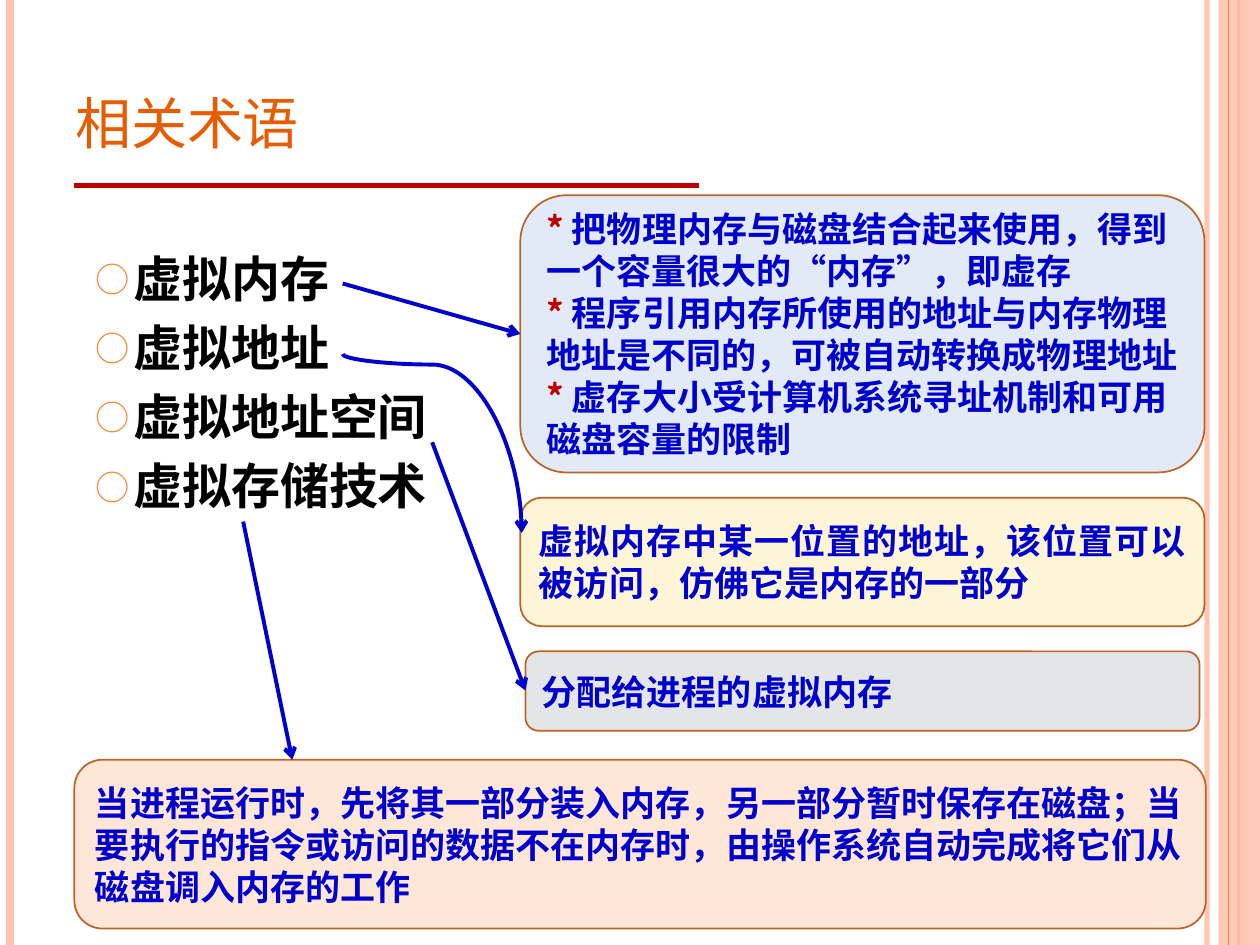
from dataclasses import dataclass

from lxml.etree import SubElement
from pptx import Presentation
from pptx.dml.color import RGBColor
from pptx.enum.shapes import MSO_CONNECTOR as Connector, MSO_SHAPE as Preset
from pptx.enum.text import MSO_ANCHOR as Anchor, PP_ALIGN as Align
from pptx.oxml.ns import qn
from pptx.util import Inches, Pt


@dataclass(frozen=True)
class Theme:
    """Colours, font and type sizes of the slide."""
    font: str = "Noto Sans CJK SC"
    title: str = "E75C01"
    text: str = "000000"
    blue: str = "0000CC"
    red: str = "C00000"
    orange: str = "FE8637"
    peach: str = "FEC3AE"
    outline: str = "BC6329"
    title_size: int = 40
    term_size: int = 28
    note_size: int = 20
    leading: float = 1.2


THEME = Theme()

TERMS = ["虚拟内存", "虚拟地址", "虚拟地址空间", "虚拟存储技术"]

MEMORY_NOTES = [
    "把物理内存与磁盘结合起来使用，得到一个容量很大的“内存”，即虚存",
    "程序引用内存所使用的地址与内存物理地址是不同的，可被自动转换成物理地址",
    "虚存大小受计算机系统寻址机制和可用磁盘容量的限制",
]

NOTES = [
    ((0.59, 6.03, 8.98, 1.34), "FFE7D7", Align.LEFT, [[(
        "当进程运行时，先将其一部分装入内存，另一部分暂时保存在磁盘；"
        "当要执行的指令或访问的数据不在内存时，由操作系统自动完成将它们从磁盘调入内存的工作",
        THEME.blue)]]),
    ((4.13, 1.55, 5.43, 2.2), "E3EAF7", Align.LEFT,
     [[("* ", THEME.red), (note, THEME.blue)] for note in MEMORY_NOTES]),
    ((4.13, 3.95, 5.43, 1.02), "FDF5D5", Align.JUSTIFY, [[(
        "虚拟内存中某一位置的地址，该位置可以被访问，仿佛它是内存的一部分", THEME.blue)]]),
    ((4.17, 5.17, 5.35, 0.63), "E4E5E6", Align.JUSTIFY,
     [[("分配给进程的虚拟内存", THEME.blue)]]),
]

ARROWS = [
    ((2.72, 2.25), (4.13, 2.65)),
    ((3.43, 3.51), (4.17, 5.48)),
    ((1.93, 4.14), (2.32, 6.03)),
]


def set_alpha(fill_parent, percent):
    """Make the solid colour below an element partly transparent."""
    color = next(fill_parent.iter(qn("a:srgbClr")))
    SubElement(color, qn("a:alpha"), val=str(percent * 1000))


def add_bullet(paragraph, hanging):
    """Give a paragraph a hanging ring bullet."""
    properties = paragraph._p.get_or_add_pPr()
    properties.set("marL", str(hanging))
    properties.set("indent", str(-hanging))
    color = SubElement(properties, qn("a:buClr"))
    SubElement(color, qn("a:srgbClr"), val=THEME.orange)
    SubElement(properties, qn("a:buSzPct"), val="70000")
    SubElement(properties, qn("a:buFont"), typeface=THEME.font)
    SubElement(properties, qn("a:buChar"), char="○")


def write_text(shape, paragraphs, size, bold=True, anchor=Anchor.TOP,
               align=Align.LEFT, space_before=0, bullet=False, small_caps=False):
    """Fill a shape with paragraphs, each a list of (text, colour) runs."""
    frame = shape.text_frame
    frame.word_wrap = True
    frame.vertical_anchor = anchor
    for index, runs in enumerate(paragraphs):
        paragraph = frame.add_paragraph() if index else frame.paragraphs[0]
        paragraph.alignment = align
        paragraph.line_spacing = Pt(size * THEME.leading)
        if index:
            paragraph.space_before = Pt(space_before)
        if bullet:
            add_bullet(paragraph, Inches(0.3))
        for text, color in runs:
            run = paragraph.add_run()
            run.text = text
            run.font.size = Pt(size)
            run.font.bold = bold
            run.font.name = THEME.font
            run.font.color.rgb = RGBColor.from_string(color)
            properties = run._r.get_or_add_rPr()
            properties.set("lang", "zh-CN")
            if small_caps:
                properties.set("cap", "small")
            SubElement(properties, qn("a:ea"), typeface=THEME.font)


def add_line(slide, start, end, color, width, kind=Connector.STRAIGHT, arrow=False):
    """Draw a line between two points given in inches."""
    line = slide.shapes.add_connector(kind, *(Inches(value) for value in (*start, *end)))
    line.line.color.rgb = RGBColor.from_string(color)
    line.line.width = Pt(width)
    if arrow:
        SubElement(line.line._get_or_add_ln(), qn("a:tailEnd"), type="arrow")
    SubElement(line._element.spPr, qn("a:effectLst"))
    return line


def add_box(slide, preset, box, fill, outline=None):
    """Draw a filled preset shape in a box given in inches."""
    shape = slide.shapes.add_shape(preset, *(Inches(value) for value in box))
    shape.shadow.inherit = False
    shape.fill.solid()
    shape.fill.fore_color.rgb = RGBColor.from_string(fill)
    if outline:
        shape.line.color.rgb = RGBColor.from_string(outline)
        shape.line.width = Pt(1)
    else:
        shape.line.fill.background()
    return shape


def add_frame(slide, box):
    """Draw the vertical stripes along both sides of the slide."""
    left, top, width, height = box
    right, bottom = left + width, top + height

    def stripe(x, color, line_width):
        return add_line(slide, (x, top), (x, bottom), color, line_width)

    inner = stripe(right - 0.42, THEME.peach, 3)
    set_alpha(inner.line._get_or_add_ln(), 93)
    stripe(left + 0.08, THEME.peach, 4.5)
    stripe(right - 0.17, THEME.orange, 1.5)
    band = add_box(slide, Preset.RECTANGLE, (right - 0.33, top, 0.33, height), THEME.peach)
    set_alpha(band._element.spPr, 87)
    stripe(right - 0.25, THEME.orange, 0.75)


def add_title(slide, box):
    """Place the heading and the red rule under it."""
    left, top, width, height = box
    rule = top + height + 0.16
    add_line(slide, (left + 0.09, rule), (left + 5.05, rule), THEME.red, 3)
    heading = slide.shapes.add_textbox(*(Inches(value) for value in box))
    write_text(heading, [[("相关术语", THEME.title)]], THEME.title_size,
               bold=False, anchor=Anchor.BOTTOM, small_caps=True)


def add_terms(slide, box):
    """Place the bulleted list of terms."""
    terms = slide.shapes.add_textbox(*(Inches(value) for value in box))
    write_text(terms, [[(term, THEME.text)] for term in TERMS], THEME.term_size,
               space_before=6, bullet=True)


def add_note(slide, box, fill, align, paragraphs):
    """Place one rounded box that explains a term."""
    note = add_box(slide, Preset.ROUNDED_RECTANGLE, box, fill, THEME.outline)
    write_text(note, paragraphs, THEME.note_size, anchor=Anchor.MIDDLE, align=align)


def add_curve(slide, box):
    """Draw a curved arrow from the top left to the bottom right of a square box."""
    left, top, width, height = box
    curve = add_line(slide, (left + width, top), (left, top + height), THEME.blue, 2.25,
                     Connector.CURVE, arrow=True)
    properties = curve._element.spPr
    properties.find(qn("a:xfrm")).set("rot", str(270 * 60000))
    adjustments = properties.find(qn("a:prstGeom")).find(qn("a:avLst"))
    SubElement(adjustments, qn("a:gd"), name="adj1", fmla="val 5900")


def main():
    """Build the slide and save it."""
    presentation = Presentation()
    presentation.slide_width, presentation.slide_height = Inches(10), Inches(7.5)
    slide = presentation.slides.add_slide(presentation.slide_layouts[6])
    add_frame(slide, (0, 0, 10, 7.5))
    add_title(slide, (0.5, 0.3, 8.17, 1.01))
    add_terms(slide, (0.66, 1.92, 7.92, 5.3))
    for note in NOTES:
        add_note(slide, *note)
    for start, end in ARROWS:
        add_line(slide, start, end, THEME.blue, 2.25, arrow=True)
    add_curve(slide, (2.72, 2.81, 1.42, 1.42))
    presentation.save("out.pptx")


if __name__ == "__main__":
    main()
